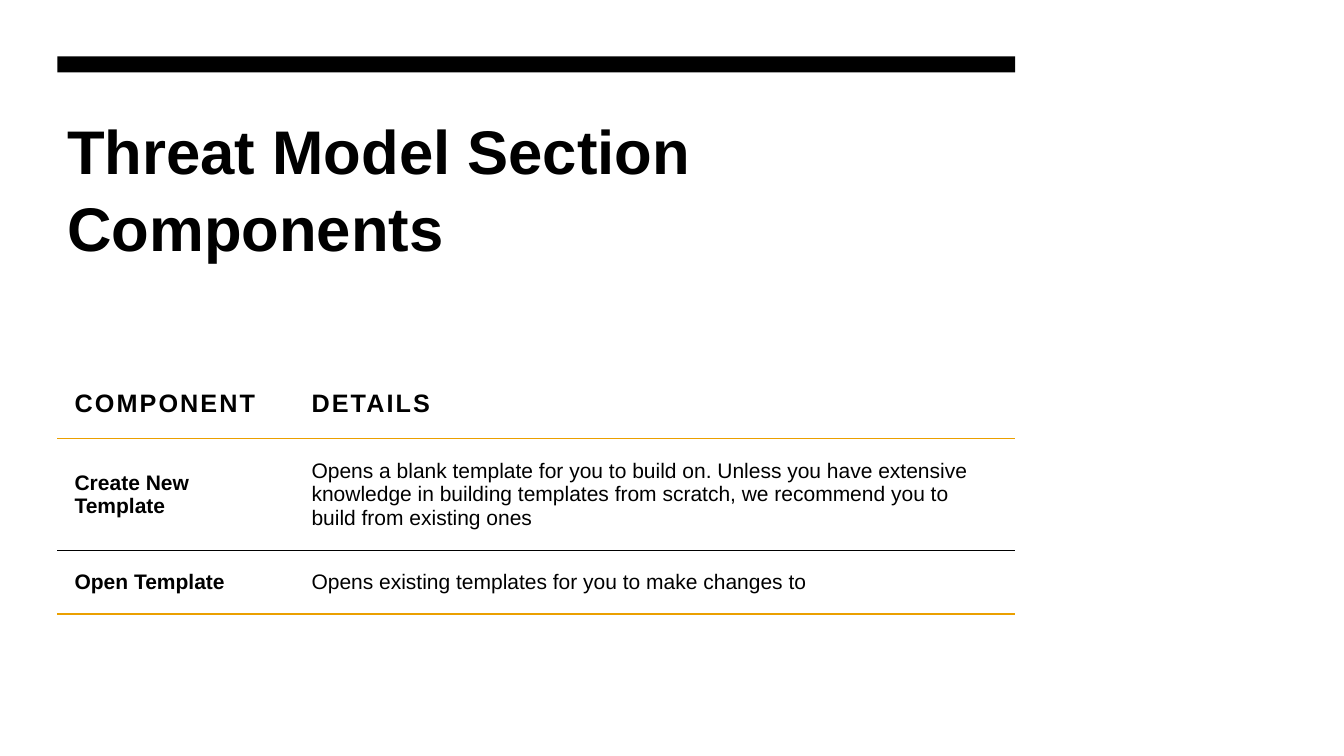
from lxml import etree
from pptx import Presentation
from pptx.dml.color import RGBColor
from pptx.enum.shapes import MSO_SHAPE
from pptx.enum.text import MSO_ANCHOR
from pptx.oxml.ns import qn
from pptx.util import Inches, Pt

RECTANGLE = MSO_SHAPE.RECTANGLE
MIDDLE, BOTTOM = MSO_ANCHOR.MIDDLE, MSO_ANCHOR.BOTTOM

SLIDE_W, SLIDE_H = 13.33, 7.5
MARGIN, CONTENT_W = 0.57, 9.5
CELL_INSET = 0.17
COLUMN_WIDTHS = [2.35, 7.15]
ROW_HEIGHTS = [0.68, 1.11, 0.63]
COLORS = {"paper": "FFFFFF", "ink": "000000", "accent": "EBA000"}
ACCENT_RULE = ("accent", 1.5)
INK_RULE = ("ink", 0.5)
RULES = [None, ACCENT_RULE, INK_RULE, ACCENT_RULE]
COMPONENTS = [
    ("COMPONENT", "DETAILS"),
    ("Create New Template",
     "Opens a blank template for you to build on. Unless you have extensive "
     "knowledge in building templates from scratch, we recommend you to "
     "build from existing ones"),
    ("Open Template", "Opens existing templates for you to make changes to"),
]


def write_text(frame, text, size, bold=False, tracking=0, line_spacing=1.0):
    frame.word_wrap = True
    paragraph = frame.paragraphs[0]
    paragraph.line_spacing = line_spacing
    run = paragraph.add_run()
    run.text = text
    run.font.name = "Arial"
    run.font.size = Pt(size)
    run.font.bold = bold
    run.font.color.rgb = RGBColor.from_string(COLORS["ink"])
    if tracking:
        run.font._element.set("spc", str(int(tracking * 100)))


def add_block(slide, left, top, width, height, color):
    block = slide.shapes.add_shape(
        RECTANGLE, Inches(left), Inches(top), Inches(width), Inches(height))
    block.shadow.inherit = False
    block.fill.solid()
    block.fill.fore_color.rgb = RGBColor.from_string(COLORS[color])
    block.line.fill.background()


def add_title(slide, text, top, height):
    title = slide.shapes.add_textbox(
        Inches(MARGIN), Inches(top), Inches(CONTENT_W), Inches(height))
    title.text_frame.vertical_anchor = BOTTOM
    write_text(title.text_frame, text, 44, bold=True, line_spacing=1.05)


def set_borders(cell, above, below):
    properties = cell._tc.get_or_add_tcPr()
    sides = [("a:lnL", None), ("a:lnR", None), ("a:lnT", above), ("a:lnB", below)]
    for position, (tag, rule) in enumerate(sides):
        border = etree.Element(qn(tag))
        if rule:
            color, width = rule
            border.set("w", str(Pt(width)))
            fill = etree.SubElement(border, qn("a:solidFill"))
            etree.SubElement(fill, qn("a:srgbClr"), val=COLORS[color])
        else:
            etree.SubElement(border, qn("a:noFill"))
        properties.insert(position, border)


def add_component_table(slide, top):
    table = slide.shapes.add_table(
        len(ROW_HEIGHTS), len(COLUMN_WIDTHS), Inches(MARGIN), Inches(top),
        Inches(CONTENT_W), Inches(sum(ROW_HEIGHTS))).table
    table.first_row = False
    table.horz_banding = False
    for column, width in zip(table.columns, COLUMN_WIDTHS):
        column.width = Inches(width)
    for row, height in zip(table.rows, ROW_HEIGHTS):
        row.height = Inches(height)
    for r, entries in enumerate(COMPONENTS):
        header = r == 0
        for c, entry in enumerate(entries):
            cell = table.cell(r, c)
            cell.fill.background()
            cell.vertical_anchor = MIDDLE
            cell.margin_left = cell.margin_right = Inches(CELL_INSET)
            cell.margin_top = cell.margin_bottom = Inches(CELL_INSET)
            write_text(cell.text_frame, entry, 18 if header else 15,
                       bold=header or c == 0, tracking=1.5 if header else 0)
            set_borders(cell, RULES[r], RULES[r + 1])


def main():
    presentation = Presentation()
    presentation.slide_width = Inches(SLIDE_W)
    presentation.slide_height = Inches(SLIDE_H)
    slide = presentation.slides.add_slide(presentation.slide_layouts[6])
    add_block(slide, 0, 0, SLIDE_W, SLIDE_H, "paper")
    add_title(slide, "Threat Model Section Components", 1.07, 1.6)
    add_block(slide, MARGIN, 0.56, CONTENT_W, 0.16, "ink")
    add_component_table(slide, 3.67)
    presentation.save("out.pptx")


if __name__ == "__main__":
    main()
